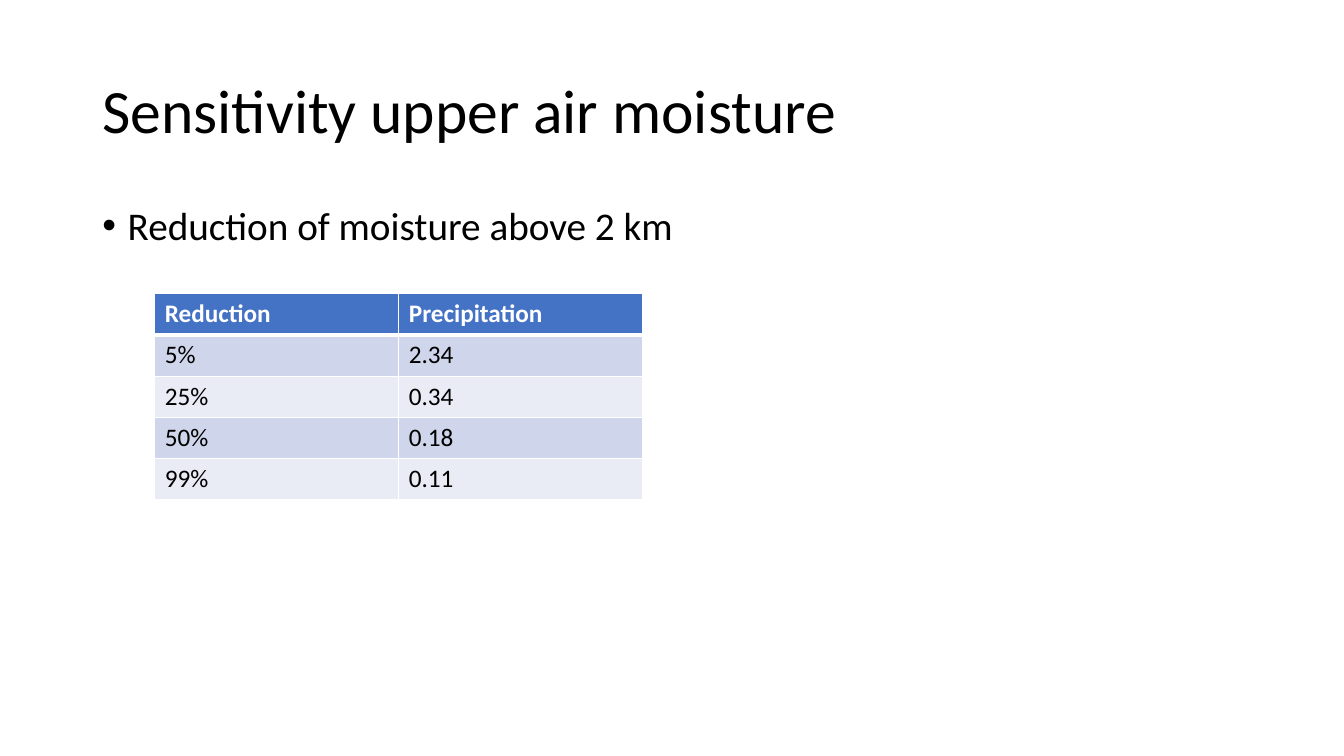
from lxml import etree
from pptx import Presentation
from pptx.dml.color import RGBColor
from pptx.enum.text import MSO_ANCHOR, PP_ALIGN
from pptx.oxml.ns import qn
from pptx.util import Cm, Pt

TITLE = "Sensitivity upper air moisture"
POINT = "Reduction of moisture above 2 km"
ROWS = [
    ("Reduction", "Precipitation"),
    ("5%", "2.34"),
    ("25%", "0.34"),
    ("50%", "0.18"),
    ("99%", "0.11"),
]
COLORS = {
    "text": "000000",
    "white": "FFFFFF",
    "head": "4472C4",
    "odd": "CFD5EA",
    "even": "E9EBF5",
}
FONT = "Calibri"
LEFT, WIDTH = Cm(2.33), Cm(29.21)
COL_W, ROW_H = Cm(6.15), Cm(1.04)
MIDDLE, TOP = MSO_ANCHOR.MIDDLE, MSO_ANCHOR.TOP
ALIGN = PP_ALIGN.LEFT


def rgb(name):
    return RGBColor.from_string(COLORS[name])


def write(frame, text, size, color="text", bold=False):
    par = frame.paragraphs[0]
    par.alignment = ALIGN
    run = par.add_run()
    run.text = text
    font = run.font
    font.name, font.size, font.bold = FONT, Pt(size), bold
    font.color.rgb = rgb(color)
    return par


def add_bullet(par):
    props = par._p.get_or_add_pPr()
    props.set("marL", str(Cm(0.64)))
    props.set("indent", str(-Cm(0.64)))
    etree.SubElement(props, qn("a:buFont"), typeface="Arial")
    etree.SubElement(props, qn("a:buChar"), char="•")


def add_edge(cell, side, width):
    props = cell._tc.get_or_add_tcPr()
    line = etree.SubElement(props, qn("a:ln" + side), w=str(Pt(width)))
    fill = etree.SubElement(line, qn("a:solidFill"))
    etree.SubElement(fill, qn("a:srgbClr"), val=COLORS["white"])


def add_title(slide):
    title = slide.shapes.title
    title.left, title.top = LEFT, Cm(1.01)
    title.width, title.height = WIDTH, Cm(3.68)
    title.text_frame.vertical_anchor = MIDDLE
    write(title.text_frame, TITLE, 44).line_spacing = 0.9


def add_point(slide):
    box = slide.shapes.add_textbox(LEFT, Cm(5.07), WIDTH, Cm(12.09))
    frame = box.text_frame
    frame.word_wrap = True
    frame.vertical_anchor = TOP
    par = write(frame, POINT, 28)
    par.line_spacing = 0.9
    par.space_before = Pt(10)
    add_bullet(par)


def add_grid(slide):
    count, cols = len(ROWS), len(ROWS[0])
    table = slide.shapes.add_table(
        count, cols, Cm(3.9), Cm(7.4), COL_W * cols, ROW_H * count
    ).table
    for col in table.columns:
        col.width = COL_W
    for r, values in enumerate(ROWS):
        table.rows[r].height = ROW_H
        head = r == 0
        shade = "head" if head else "odd" if r % 2 else "even"
        edges = {"L": 1, "R": 1, "T": 3 if r == 1 else 1, "B": 3 if head else 1}
        for c, value in enumerate(values):
            cell = table.cell(r, c)
            write(cell.text_frame, value, 18, "white" if head else "text", head)
            for side, width in edges.items():
                add_edge(cell, side, width)
            cell.fill.solid()
            cell.fill.fore_color.rgb = rgb(shade)


def main():
    deck = Presentation()
    deck.slide_width, deck.slide_height = Cm(33.87), Cm(19.05)
    slide = deck.slides.add_slide(deck.slide_layouts[5])
    add_title(slide)
    add_point(slide)
    add_grid(slide)
    deck.save("out.pptx")


if __name__ == "__main__":
    main()
